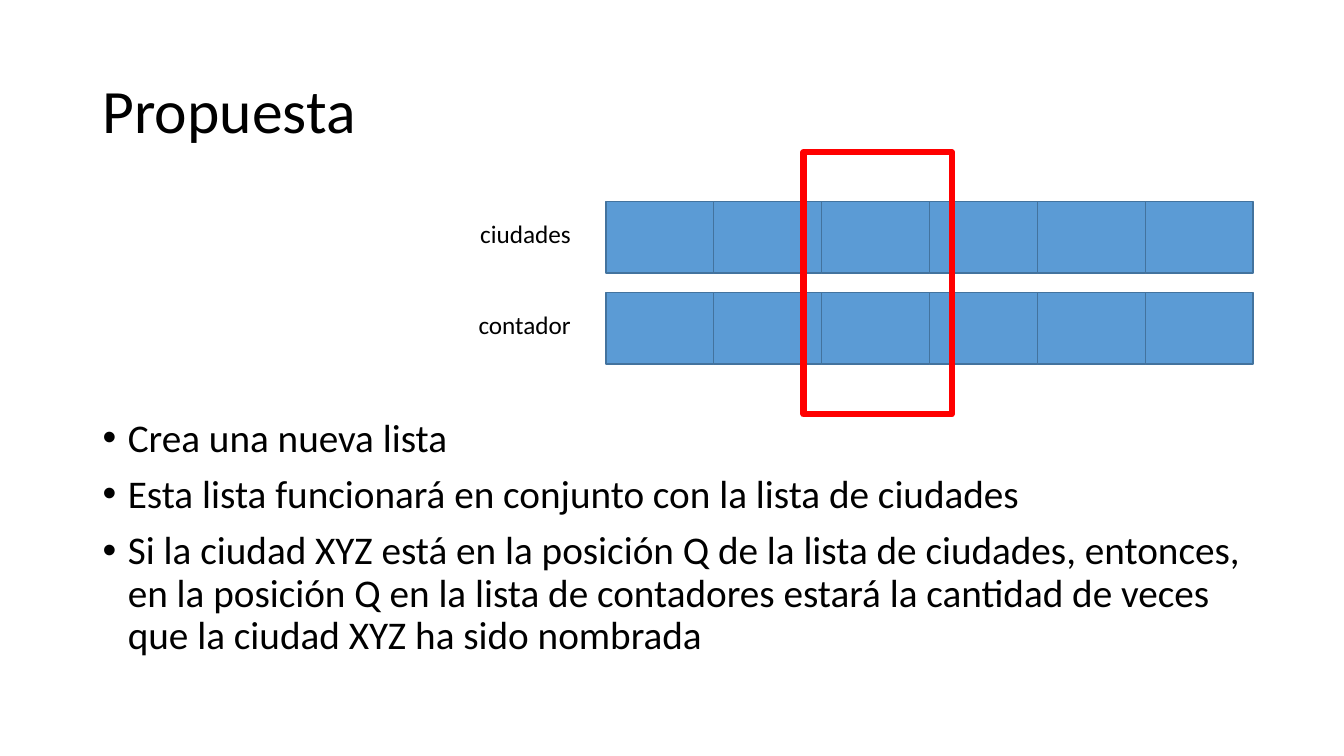
from dataclasses import dataclass
from lxml.etree import SubElement
from pptx import Presentation
from pptx.dml.color import RGBColor
from pptx.enum.shapes import MSO_SHAPE
from pptx.enum.text import MSO_ANCHOR, PP_ALIGN
from pptx.oxml.ns import qn
from pptx.util import Inches, Pt


@dataclass
class Theme:
    font: str = "Calibri"
    ink: str = "000000"
    cell: str = "5B9BD5"
    edge: str = "43739E"
    mark: str = "FF0000"
    title: int = 44
    body: int = 28
    label: int = 18


theme = Theme()


def add_text(shapes, box, lines, size):
    frame = shapes.add_textbox(*map(Inches, box)).text_frame
    frame.word_wrap = True
    frame.text = "\n".join(lines)
    for para in frame.paragraphs:
        para.font.name = theme.font
        para.font.size = Pt(size)
        para.font.color.rgb = RGBColor.from_string(theme.ink)
    return frame


def add_box(shapes, box, fill, line, width):
    rect = shapes.add_shape(MSO_SHAPE.RECTANGLE, *map(Inches, box))
    rect.shadow.inherit = False
    if fill:
        rect.fill.solid()
        rect.fill.fore_color.rgb = RGBColor.from_string(fill)
    else:
        rect.fill.background()
    rect.line.color.rgb = RGBColor.from_string(line)
    rect.line.width = Pt(width)


deck = Presentation()
deck.slide_width = Inches(13.33)
deck.slide_height = Inches(7.5)
slide = deck.slides.add_slide(deck.slide_layouts[6])

title = add_text(slide.shapes, (0.92, 0.4, 11.5, 1.45), ["Propuesta"], theme.title)
title.vertical_anchor = MSO_ANCHOR.MIDDLE
title.paragraphs[0].line_spacing = 0.9

points = [
    "Crea una nueva lista",
    "Esta lista funcionará en conjunto con la lista de ciudades",
    "Si la ciudad XYZ está en la posición Q de la lista de ciudades, entonces, "
    "en la posición Q en la lista de contadores estará la cantidad de veces "
    "que la ciudad XYZ ha sido nombrada",
]
body = add_text(slide.shapes, (0.92, 4.1, 11.5, 2.65), points, theme.body)
for para in body.paragraphs:
    para.line_spacing = 0.9
    para.space_before = Pt(10)
    props = para._p.get_or_add_pPr()
    props.set("marL", str(Inches(0.25)))
    props.set("indent", str(Inches(-0.25)))
    SubElement(props, qn("a:buFont")).set("typeface", "Arial")
    SubElement(props, qn("a:buChar")).set("char", "•")

left, wide, high = 6.01, 1.07, 0.71
for name, top in (("ciudades", 2), ("contador", 2.9)):
    group = slide.shapes.add_group_shape()
    for col in range(6):
        box = (left + col * wide, top, wide, high)
        add_box(group.shapes, box, theme.cell, theme.edge, 1)
    label = add_text(group.shapes, (3.03, top + 0.12, 2.73, 0.41), [name], theme.label)
    label.paragraphs[0].alignment = PP_ALIGN.RIGHT

add_box(slide.shapes, (7.97, 1.51, 1.47, 2.6), None, theme.mark, 4.5)

deck.save("out.pptx")
